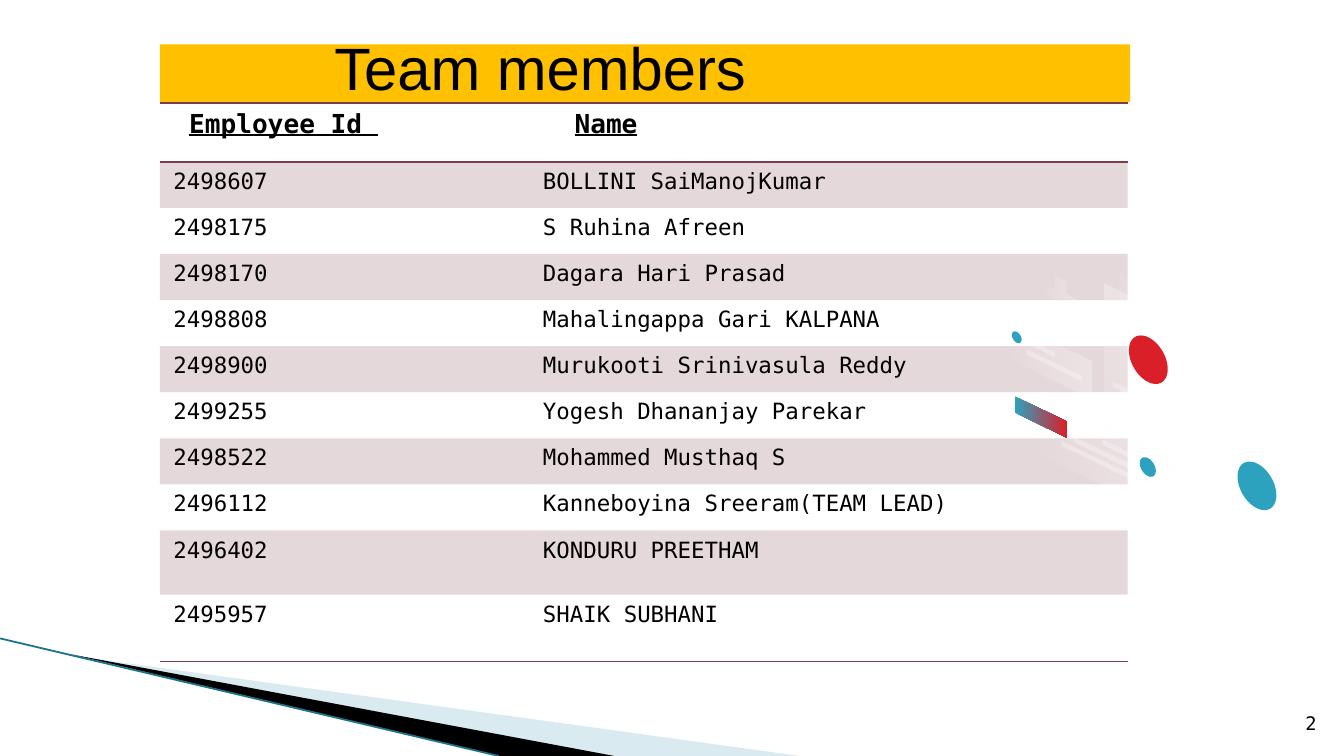
import math
from dataclasses import dataclass

import lxml.etree
import pptx
import pptx.dml.color
import pptx.enum.shapes
import pptx.enum.text
import pptx.oxml
import pptx.oxml.ns
import pptx.util

Pt = pptx.util.Pt
RGBColor = pptx.dml.color.RGBColor
qn = pptx.oxml.ns.qn

WHITE = RGBColor(0xFF, 0xFF, 0xFF)
BLACK = RGBColor(0x00, 0x00, 0x00)
AMBER = RGBColor(0xFF, 0xC0, 0x00)
MAROON = RGBColor(0x7D, 0x3C, 0x4A)
TEAL = RGBColor(0x2D, 0xA2, 0xBF)
DARK_TEAL = RGBColor(0x1F, 0x73, 0x89)
PALE_TEAL = RGBColor(0xA0, 0xCB, 0xDC)
RED = RGBColor(0xDA, 0x1F, 0x28)

HEADING_FONT = "Arial"
BODY_FONT = "DejaVu Sans Mono"
SLOPE = 0.48
TABLE_LEFT = 85.7
COLUMN_WIDTHS = (198, 320.4)
ROW_HEIGHTS = (31.6, *[24.7] * 8, 34.3, 35.9)
HEADINGS = (("Employee Id ", 15.6), ("Name", 24.1))
MEMBERS = (
    ("2498607", "BOLLINI SaiManojKumar"),
    ("2498175", "S Ruhina Afreen"),
    ("2498170", "Dagara Hari Prasad"),
    ("2498808", "Mahalingappa Gari KALPANA"),
    ("2498900", "Murukooti Srinivasula Reddy"),
    ("2499255", "Yogesh Dhananjay Parekar"),
    ("2498522", "Mohammed Musthaq S"),
    ("2496112", "Kanneboyina Sreeram(TEAM LEAD)"),
    ("2496402", "KONDURU PREETHAM"),
    ("2495957", "SHAIK SUBHANI"),
)

Points = list[tuple[float, float]]


@dataclass
class Paint:
    start: RGBColor
    alpha: int = 100
    end: RGBColor | None = None
    end_alpha: int = 100
    angle: int = 0


@dataclass
class Slab:
    left: float
    top: float
    width: float
    height: float
    paint: Paint

    def outline(self) -> Points:
        right, drop = self.left + self.width, self.width * SLOPE
        return [(self.left, self.top), (right, self.top + drop),
                (right, self.top + drop + self.height), (self.left, self.top + self.height)]


@dataclass
class Disc:
    x: float
    y: float
    radius_x: float
    radius_y: float
    paint: Paint

    def outline(self) -> Points:
        return skew(self.x, self.y, [
            (self.radius_x * math.cos(math.tau * step / 48),
             self.radius_y * math.sin(math.tau * step / 48)) for step in range(48)])


@dataclass
class Polygon:
    corners: Points
    paint: Paint

    def outline(self) -> Points:
        return self.corners


def skew(x: float, y: float, offsets: Points) -> Points:
    return [(x + dx, y + dy + SLOPE * dx) for dx, dy in offsets]


def set_alpha(colour_parent, alpha: int) -> None:
    if alpha < 100:
        colour = next(colour_parent.iter(qn("a:srgbClr")))
        lxml.etree.SubElement(colour, qn("a:alpha")).set("val", str(alpha * 1000))


def apply_paint(shape, paint: Paint) -> None:
    if paint.end is None:
        shape.fill.solid()
        shape.fill.fore_color.rgb = paint.start
        set_alpha(shape.element.spPr.find(qn("a:solidFill")), paint.alpha)
        return
    shape.fill.gradient()
    shape.fill.gradient_angle = paint.angle
    for stop, colour in zip(shape.fill.gradient_stops, (paint.start, paint.end)):
        stop.color.rgb = colour
    for stop, alpha in zip(shape.element.spPr.iter(qn("a:gs")), (paint.alpha, paint.end_alpha)):
        set_alpha(stop, alpha)


def draw(slide, figure: Slab | Disc | Polygon) -> None:
    first, *rest = [(Pt(x), Pt(y)) for x, y in figure.outline()]
    builder = slide.shapes.build_freeform(*first, scale=1.0)
    builder.add_line_segments(rest, close=True)
    shape = builder.convert_to_shape()
    shape.shadow.inherit = False
    shape.line.fill.background()
    apply_paint(shape, figure.paint)


def style_text(frame, size: float, font: str, bold=False, underline=False) -> None:
    for run in frame.paragraphs[0].runs:
        run.font.size = Pt(size)
        run.font.name = font
        run.font.color.rgb = BLACK
        run.font.bold = bold
        run.font.underline = underline


def add_border(cell, side: str) -> None:
    border = pptx.oxml.parse_xml(
        f'<a:{side} xmlns:a="http://schemas.openxmlformats.org/drawingml/2006/main" w="12700">'
        f'<a:solidFill><a:srgbClr val="{MAROON}"/></a:solidFill></a:{side}>')
    cell._tc.get_or_add_tcPr().insert(0, border)


def draw_members(slide) -> None:
    frame = slide.shapes.add_table(len(ROW_HEIGHTS), 2, Pt(TABLE_LEFT), Pt(55.1),
                                   Pt(sum(COLUMN_WIDTHS)), Pt(sum(ROW_HEIGHTS)))
    members = frame.table
    members.first_row = members.horz_banding = False
    next(frame.element.iter(qn("a:tableStyleId"))).text = "{2D5ABB26-0587-4C30-8999-92F81FD0307C}"
    for column, width in zip(members.columns, COLUMN_WIDTHS):
        column.width = Pt(width)
    for row, height in zip(members.rows, ROW_HEIGHTS):
        row.height = Pt(height)

    for column, (heading, indent) in enumerate(HEADINGS):
        cell = members.cell(0, column)
        cell.text_frame.text = heading
        cell.margin_left = Pt(indent)
        style_text(cell.text_frame, 14, BODY_FONT, bold=True, underline=True)
        cell.fill.background()
        add_border(cell, "lnB")
        add_border(cell, "lnT")

    for row, member in enumerate(MEMBERS, start=1):
        for column, value in enumerate(member):
            cell = members.cell(row, column)
            cell.text_frame.text = value
            style_text(cell.text_frame, 12, BODY_FONT)
            if row % 2:
                cell.fill.solid()
                cell.fill.fore_color.rgb = MAROON
                set_alpha(cell._tc.tcPr, 20)
            else:
                cell.fill.background()
            if row == len(MEMBERS):
                add_border(cell, "lnB")


def draw_swoosh(slide) -> None:
    draw(slide, Polygon([(39.6, 351.4), (428.4, 405), (328.3, 405)], Paint(PALE_TEAL, 40)))
    draw(slide, Polygon([(38.2, 350.6), (329, 405), (267.8, 405)], Paint(BLACK)))
    edge = slide.shapes.add_connector(pptx.enum.shapes.MSO_CONNECTOR.STRAIGHT,
                                      Pt(0), Pt(342), Pt(267.1), Pt(405))
    edge.line.color.rgb = DARK_TEAL
    edge.line.width = Pt(0.95)
    lxml.etree.SubElement(edge.element.spPr, qn("a:effectLst"))


def draw_title(slide) -> None:
    banner = slide.shapes.add_shape(pptx.enum.shapes.MSO_SHAPE.RECTANGLE,
                                    Pt(TABLE_LEFT), Pt(23.8), Pt(519.8), Pt(31))
    banner.shadow.inherit = False
    banner.line.fill.background()
    apply_paint(banner, Paint(AMBER))
    title = banner.text_frame
    title.text = "Team members"
    title.margin_left = Pt(93.4)
    title.margin_top = title.margin_right = title.margin_bottom = 0
    title.vertical_anchor = pptx.enum.text.MSO_ANCHOR.BOTTOM
    title.paragraphs[0].alignment = pptx.enum.text.PP_ALIGN.LEFT
    style_text(title, 32, HEADING_FONT)


def draw_page_number(slide) -> None:
    number = slide.shapes.add_textbox(Pt(684.7), Pt(373.7), Pt(35.3), Pt(27.4)).text_frame
    number.text = "2"
    number.word_wrap = True
    number.margin_left = number.margin_top = number.margin_right = number.margin_bottom = 0
    number.vertical_anchor = pptx.enum.text.MSO_ANCHOR.MIDDLE
    number.paragraphs[0].alignment = pptx.enum.text.PP_ALIGN.CENTER
    style_text(number, 10, BODY_FONT)


def draw_illustration(slide) -> None:
    bar = Paint(WHITE, 30)
    side_fade = Paint(WHITE, 30, WHITE, 0, 180)
    down_fade = Paint(WHITE, 30, WHITE, 0, 270)
    plus = [(-2.9, -10), (2.9, -10), (2.9, -2.9), (10.4, -2.9), (10.4, 2.9), (2.9, 2.9),
            (2.9, 10), (-2.9, 10), (-2.9, 2.9), (-10.4, 2.9), (-10.4, -2.9), (-2.9, -2.9)]
    bubble = [(625.7, 244.8), (551.5, 208.8), (551.5, 241.2), (619.2, 273.6), (625.7, 282.2)]
    for figure in (
        Slab(537.8, 170.6, 46.8, 20.2, side_fade),
        Disc(544.7, 180.7, 2.6, 2.9, Paint(TEAL)),
        Slab(550.1, 181.4, 15.1, 2.9, bar),
        Slab(550.1, 187.2, 29.5, 2.9, bar),
        Disc(673.4, 260.3, 10.4, 12, Paint(TEAL)),
        Slab(599.8, 146.2, 46.8, 84.2, Paint(WHITE, 10)),
        Slab(591.8, 151.9, 46.8, 84.2, down_fade),
        Slab(596.2, 204.5, 37.4, 2.9, bar),
        Slab(599, 211.7, 32.4, 2.9, bar),
        Disc(615.2, 192.7, 10.4, 12, Paint(RED)),
        Polygon(bubble, side_fade),
        Slab(543.6, 212.4, 28.1, 8.6, Paint(TEAL, 100, RED)),
        Slab(590.4, 235.4, 15.8, 2.9, bar),
        Slab(575.3, 234, 31, 2.9, bar),
        Slab(568.8, 236.2, 38.2, 2.9, bar),
        Disc(614.9, 250.2, 4.3, 4.8, Paint(TEAL)),
        Polygon(skew(567.7, 158.8, plus), side_fade),
    ):
        draw(slide, figure)


def main() -> None:
    deck = pptx.Presentation()
    deck.slide_width, deck.slide_height = Pt(720), Pt(405)
    slide = deck.slides.add_slide(deck.slide_layouts[6])
    draw_swoosh(slide)
    draw_title(slide)
    draw_page_number(slide)
    draw_members(slide)
    draw_illustration(slide)
    deck.save("out.pptx")


if __name__ == "__main__":
    main()
